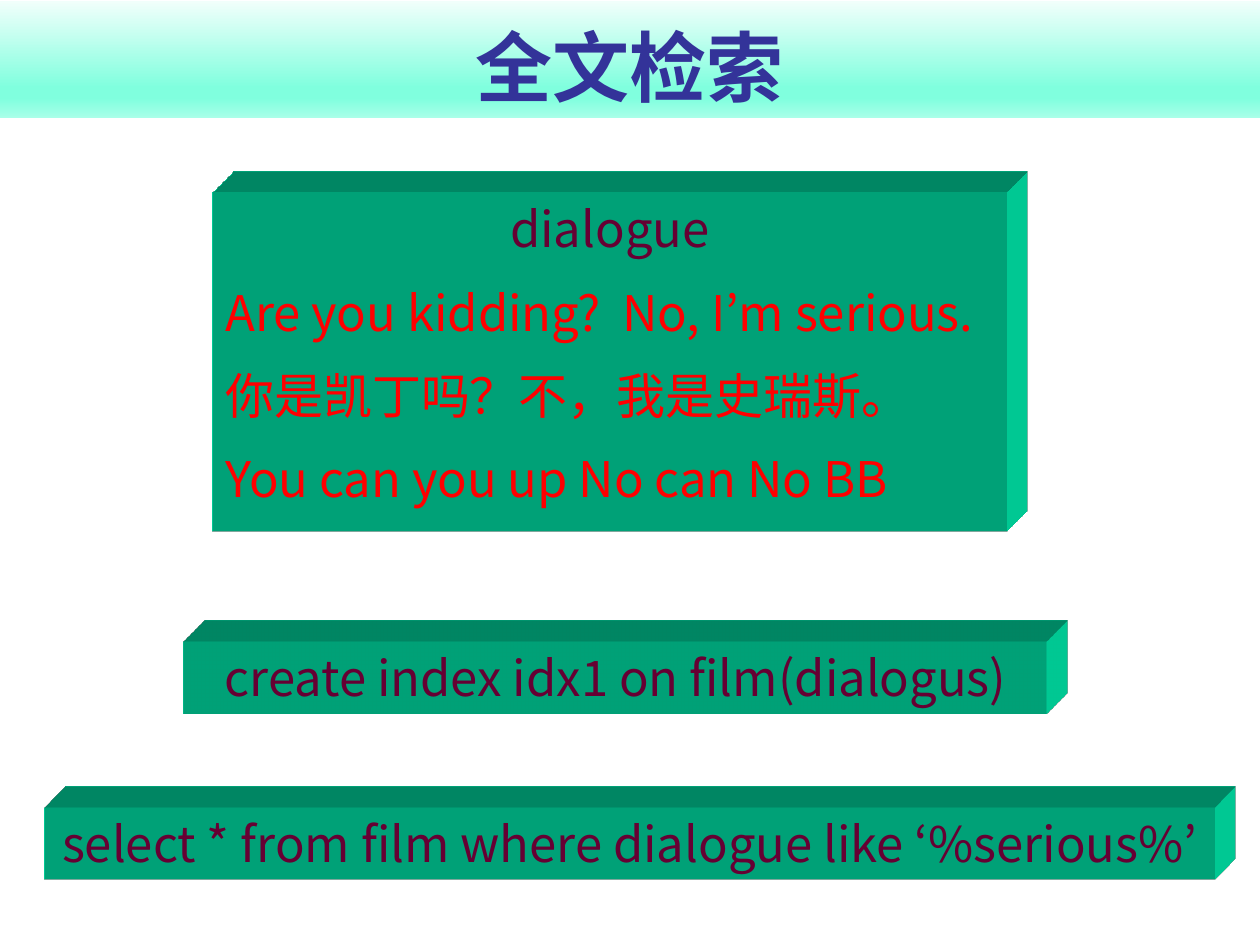
import pptx
import pptx.dml.color
import pptx.enum.shapes
import pptx.enum.text
import pptx.oxml
import pptx.oxml.ns
import pptx.util
from pptx.util import Inches

RGBColor = pptx.dml.color.RGBColor
ALIGN = pptx.enum.text.PP_ALIGN
ANCHOR = pptx.enum.text.MSO_ANCHOR
AUTO_SIZE = pptx.enum.text.MSO_AUTO_SIZE

NAVY = RGBColor(0x33, 0x33, 0x99)
GREEN = RGBColor(0x00, 0xE4, 0xA8)
PLUM = RGBColor(0x66, 0x00, 0x33)
RED = RGBColor(0xFF, 0x00, 0x00)
BANNER_STOPS = [
    (0, RGBColor(0xF1, 0xFF, 0xFB)),
    (74, RGBColor(0x80, 0xFF, 0xDE)),
    (83, RGBColor(0x80, 0xFF, 0xDE)),
    (100, RGBColor(0xAA, 0xFF, 0xE9)),
]
BODY_FONT = "Noto Sans CJK JP"
NAMESPACE = pptx.oxml.ns.nsdecls("a")

DIALOGUE = [
    ("dialogue", PLUM, ALIGN.CENTER),
    ("Are you kidding?  No, I’m serious.", RED, ALIGN.LEFT),
    ("你是凯丁吗？不，我是史瑞斯。", RED, ALIGN.LEFT),
    ("You can you up No can No BB", RED, ALIGN.LEFT),
]
INDEX_QUERY = [("create index idx1 on film(dialogus)", PLUM, ALIGN.CENTER)]
SEARCH_QUERY = [
    ("select * from film where dialogue like ‘%serious%’", PLUM, ALIGN.CENTER)
]


def set_values(target, values):
    """Set each named attribute of the target."""
    for name, value in values.items():
        setattr(target, name, value)


def place(shape, box):
    """Move a shape to a left, top, width, height box in inches."""
    names = ("left", "top", "width", "height")
    set_values(shape, dict(zip(names, map(Inches, box))))


def add_title(page, box, text):
    """Fill the title placeholder as a gradient banner."""
    title = page.shapes.title
    place(title, box)
    stops = "".join(
        f'<a:gs pos="{percent * 1000}"><a:srgbClr val="{color}"/></a:gs>'
        for percent, color in BANNER_STOPS
    )
    title._element.spPr.append(pptx.oxml.parse_xml(
        f'<a:gradFill {NAMESPACE} rotWithShape="1"><a:gsLst>{stops}</a:gsLst>'
        '<a:lin ang="5400000" scaled="0"/></a:gradFill>'
    ))
    frame = title.text_frame
    set_values(frame, {"vertical_anchor": ANCHOR.BOTTOM, "auto_size": AUTO_SIZE.NONE})
    para = frame.paragraphs[0]
    para.alignment = ALIGN.CENTER
    span = para.add_run()
    set_values(span, {"text": text})
    set_values(span.font, {"name": "Lato", "size": pptx.util.Pt(44), "bold": True})
    span.font.color.rgb = NAVY


def extrude(shape):
    """Give a shape an oblique depth toward the top right."""
    properties = shape._element.spPr
    properties.append(pptx.oxml.parse_xml(
        f'<a:scene3d {NAMESPACE}><a:camera prst="legacyObliqueTopRight"/>'
        '<a:lightRig rig="legacyFlat3" dir="b"/></a:scene3d>'
    ))
    properties.append(pptx.oxml.parse_xml(
        f'<a:sp3d {NAMESPACE} extrusionH="430200" prstMaterial="legacyMatte">'
        '<a:bevelT w="13500" h="13500" prst="angle"/>'
        '<a:bevelB w="13500" h="13500" prst="angle"/>'
        f'<a:extrusionClr><a:srgbClr val="{GREEN}"/></a:extrusionClr></a:sp3d>'
    ))


def add_line(para, text, color, alignment):
    """Write one hanging line of body text."""
    para.alignment = alignment
    properties = para._p.get_or_add_pPr()
    properties.set("marL", str(Inches(0.38)))
    properties.set("indent", str(Inches(-0.38)))
    properties.append(pptx.oxml.parse_xml(
        f'<a:spcBef {NAMESPACE}><a:spcPct val="50000"/></a:spcBef>'
    ))
    span = para.add_run()
    span.text = text
    set_values(span.font, {"name": BODY_FONT, "size": pptx.util.Pt(28)})
    span.font.color.rgb = color
    span._r.get_or_add_rPr().append(
        pptx.oxml.parse_xml(f'<a:ea {NAMESPACE} typeface="{BODY_FONT}"/>')
    )


def add_panel(page, box, lines):
    """Add an extruded green block holding lines of text."""
    panel = page.shapes.add_shape(
        pptx.enum.shapes.MSO_SHAPE.RECTANGLE, *map(Inches, box)
    )
    panel.shadow.inherit = False
    panel.fill.solid()
    panel.fill.fore_color.rgb = GREEN
    panel.line.fill.background()
    extrude(panel)
    frame = panel.text_frame
    set_values(frame, {
        "word_wrap": True,
        "auto_size": AUTO_SIZE.SHAPE_TO_FIT_TEXT,
        "vertical_anchor": ANCHOR.TOP,
    })
    for number, line in enumerate(lines):
        para = frame.add_paragraph() if number else frame.paragraphs[0]
        add_line(para, *line)


def main():
    """Build the full-text search slide."""
    deck = pptx.Presentation()
    set_values(deck, {"slide_width": Inches(10), "slide_height": Inches(7.5)})
    page = deck.slides.add_slide(deck.slide_layouts[5])
    add_title(page, (0, 0.01, 10, 0.93), "全文检索")
    add_panel(page, (1.69, 1.53, 6.3, 2.69), DIALOGUE)
    add_panel(page, (1.46, 5.09, 6.85, 0.57), INDEX_QUERY)
    add_panel(page, (0.35, 6.41, 9.29, 0.57), SEARCH_QUERY)
    deck.save("out.pptx")


if __name__ == "__main__":
    main()
